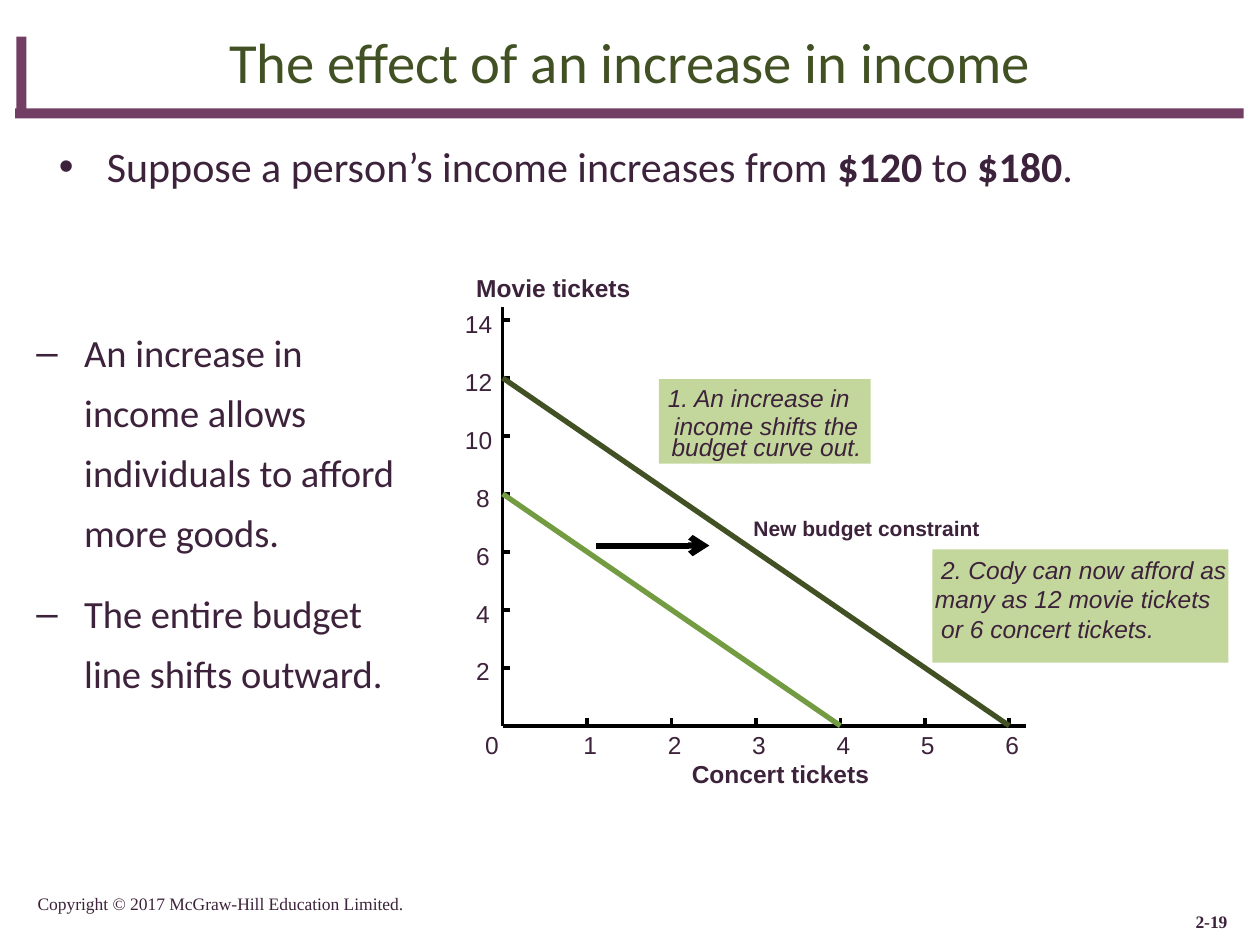
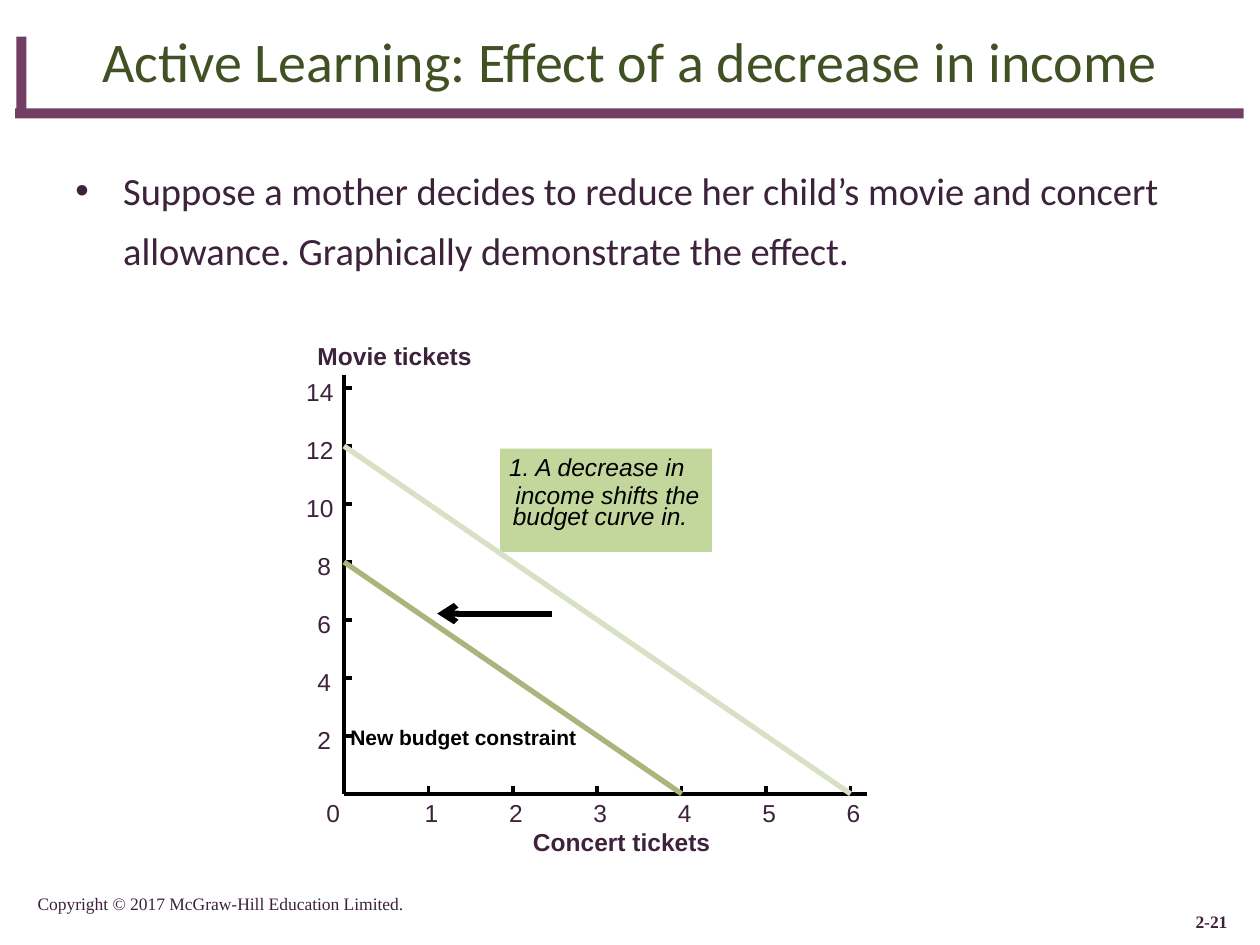
from lxml.etree import SubElement
from pptx import Presentation
from pptx.dml.color import RGBColor
from pptx.enum.shapes import MSO_CONNECTOR, MSO_SHAPE
from pptx.enum.text import MSO_ANCHOR, PP_ALIGN
from pptx.oxml.ns import qn
from pptx.util import Inches, Pt

HUES = {
    "ink": "3D223B", "band": "723E63", "title": "425124", "note": "C3D69B",
    "black": "000000", "dark": "425124", "green": "739C42",
    "olive": "ABB47C", "pale": "D8E0C5",
}
BANDS = [(0.12, 0.86, 9.75, 0.08), (0.13, 0.29, 0.08, 0.58)]
RIGHTS = "Copyright © 2017 McGraw-Hill Education Limited."

# Graph scale: inches per ticket
STEP_X, STEP_Y = 0.67, 0.23
MAX_X, MAX_Y = 6, 14
TICK = 0.06

# Bullets: box, mark, size, line spacing, paragraphs of (text, bold) runs
# Notes: box, top inset, ink, lines of (indent, height in points, text)
# Budgets: concert tickets, movie tickets, colour
SLIDES = [
    {
        "title": ("The effect of an increase in income", 32.4),
        "page": "2-19",
        "bullets": [
            ((0.37, 1.07, 9.5, 0.6), "•", 24, 1.0, [
                [("Suppose a person’s income increases from ", False),
                 ("$120 ", True), ("to ", False), ("$180", True), (".", False)],
            ]),
            ((0.19, 2.45, 3.29, 2.92), "‒", 22, 1.3, [
                [("An increase in income allows individuals to afford more goods.", False)],
                [("The entire budget line shifts outward.", False)],
            ]),
        ],
        "origin": (3.99, 5.76),
        "budgets": [(6, 12, "dark"), (4, 8, "green")],
        "arrow": ((4.73, 4.33), (5.63, 4.33)),
        "name": (5.98, 4.09, "ink"),
        "notes": [
            ((5.23, 3.01, 1.68, 0.67), 0.04, "ink", [
                (0.07, 16, "1. An increase in"),
                (0.12, 16, "income shifts the"),
                (0.1, 12.2, "budget curve out."),
            ]),
            ((7.4, 4.36, 2.35, 0.9), 0.06, "ink", [
                (0.07, 16, "2. Cody can now afford as"),
                (0.02, 16.6, "many as 12 movie tickets"),
                (0.07, 16.6, "or 6 concert tickets."),
            ]),
        ],
    },
    {
        "title": ("Active Learning: Effect of a decrease in income", 32),
        "page": "2-21",
        "bullets": [
            ((0.5, 1.17, 9, 0.98), "•", 22, 1.3, [
                [("Suppose a mother decides to reduce her child’s movie and concert "
                  "allowance. Graphically demonstrate the effect.", False)],
            ]),
        ],
        "origin": (2.73, 6.3),
        "budgets": [(4, 8, "olive"), (6, 12, "pale")],
        "arrow": ((4.38, 4.87), (3.47, 4.87)),
        "name": (2.78, 5.75, "black"),
        "notes": [
            ((3.97, 3.56, 1.68, 0.82), 0.04, "black", [
                (0.07, 16, "1. A decrease in"),
                (0.12, 16, "income shifts the"),
                (0.1, 12.2, "budget curve in."),
            ]),
        ],
    },
]


def hue(name):
    return RGBColor.from_string(HUES[name])


def style(font, size, face="Arial", ink="ink", bold=False, slant=False):
    font.name, font.size = face, Pt(size)
    font.bold, font.italic = bold, slant
    font.color.rgb = hue(ink)


def inset(frame, left=0, top=0, right=0, bottom=0):
    frame.margin_left, frame.margin_top = Inches(left), Inches(top)
    frame.margin_right, frame.margin_bottom = Inches(right), Inches(bottom)


def add_rect(slide, box, fill):
    rect = slide.shapes.add_shape(MSO_SHAPE.RECTANGLE, *map(Inches, box))
    rect.shadow.inherit = False
    rect.fill.solid()
    rect.fill.fore_color.rgb = hue(fill)
    rect.line.fill.background()
    return rect


def add_line(slide, start, end, ink="black", width=0, head=False):
    line = slide.shapes.add_connector(
        MSO_CONNECTOR.STRAIGHT, *map(Inches, (*start, *end)))
    line.line.color.rgb = hue(ink)
    line.line.width = Pt(width)
    if head:
        SubElement(line.line._get_or_add_ln(), qn("a:tailEnd"), type="arrow")
    SubElement(line._element.spPr, qn("a:effectLst"))


def add_label(slide, text, left, top, width, size=14, **look):
    frame = slide.shapes.add_textbox(
        *map(Inches, (left, top, width, size / 60))).text_frame
    inset(frame)
    frame.word_wrap = False
    frame.text = text
    style(frame.paragraphs[0].runs[0].font, size, **look)


def add_foot(slide, text, box, align, bold):
    frame = slide.shapes.add_textbox(*map(Inches, box)).text_frame
    frame.word_wrap = True
    frame.vertical_anchor = MSO_ANCHOR.BOTTOM
    frame.text = text
    para = frame.paragraphs[0]
    para.alignment = align
    style(para.runs[0].font, 10, "Times New Roman", bold=bold)


def add_frame(slide, title, page):
    """Bands, title and footers shared by all slides."""
    for band in BANDS:
        add_rect(slide, band, "band")
    text, size = title
    head = slide.shapes.title
    head.left, head.top, head.width, head.height = map(Inches, (0.5, 0.17, 9, 0.62))
    frame = head.text_frame
    frame.text = text
    frame.vertical_anchor = MSO_ANCHOR.MIDDLE
    para = frame.paragraphs[0]
    para.alignment = PP_ALIGN.CENTER
    style(para.runs[0].font, size, "Calibri", "title")
    add_foot(slide, RIGHTS, (0.2, 7, 4.67, 0.3), PP_ALIGN.LEFT, False)
    add_foot(slide, page, (9.24, 7.15, 0.6, 0.3), PP_ALIGN.RIGHT, True)


def add_bullets(slide, box, mark, size, space, items):
    frame = slide.shapes.add_textbox(*map(Inches, box)).text_frame
    frame.word_wrap = True
    for i, parts in enumerate(items):
        para = frame.add_paragraph() if i else frame.paragraphs[0]
        props = para._p.get_or_add_pPr()
        props.set("marL", str(Inches(0.38)))
        props.set("indent", str(-Inches(0.38)))
        SubElement(props, qn("a:buFont"), typeface="Arial")
        SubElement(props, qn("a:buChar"), char=mark)
        para.line_spacing = space
        para.space_before = Pt(6 if i else 0)
        para.space_after = Pt(6)
        for text, bold in parts:
            run = para.add_run()
            run.text = text
            style(run.font, size, "Calibri", bold=bold)


def add_note(slide, box, top, ink, lines):
    frame = add_rect(slide, box, "note").text_frame
    inset(frame, top=top)
    frame.word_wrap = True
    frame.vertical_anchor = MSO_ANCHOR.TOP
    frame.text = "\n".join(text for _, _, text in lines)
    for para, (left, height, _) in zip(frame.paragraphs, lines):
        para._p.get_or_add_pPr().set("marL", str(Inches(left)))
        para.alignment = PP_ALIGN.LEFT
        para.line_spacing = Pt(height)
        style(para.runs[0].font, 14, ink=ink, slant=True)


def add_graph(slide, origin, budgets):
    left, base = origin
    add_line(slide, origin, (left, base - 3.32))
    add_line(slide, origin, (left + 4.15, base))
    for count in range(0, MAX_Y + 1, 2):
        y = base - count * STEP_Y
        add_line(slide, (left, y), (left + TICK, y))
        if count:
            text = str(count)
            shift = 0.21 + 0.09 * (len(text) - 1)
            add_label(slide, text, left - shift, y - 0.09, 0.11 * len(text))
    for count in range(MAX_X + 1):
        x = left + count * STEP_X
        add_line(slide, (x, base - TICK), (x, base))
        shift = 0.03 if count else 0.14
        add_label(slide, str(count), x - shift, base + 0.03, 0.11)
    add_label(slide, "Movie tickets", left - 0.21, base - 3.59, 1.23, bold=True)
    add_label(slide, "Concert tickets", left + 1.5, base + 0.26, 1.41, bold=True)
    for shows, films, ink in budgets:
        add_line(slide, (left, base - films * STEP_Y),
                 (left + shows * STEP_X, base), ink, 3)


def main():
    deck = Presentation()
    deck.slide_width, deck.slide_height = Inches(10), Inches(7.5)
    for page in SLIDES:
        slide = deck.slides.add_slide(deck.slide_layouts[5])
        add_frame(slide, page["title"], page["page"])
        for group in page["bullets"]:
            add_bullets(slide, *group)
        for note in page["notes"]:
            add_note(slide, *note)
        add_graph(slide, page["origin"], page["budgets"])
        add_line(slide, *page["arrow"], width=3.5, head=True)
        x, y, ink = page["name"]
        add_label(slide, "New budget constraint", x, y, 1.82, 12, ink=ink, bold=True)
    deck.save("out.pptx")


if __name__ == "__main__":
    main()
